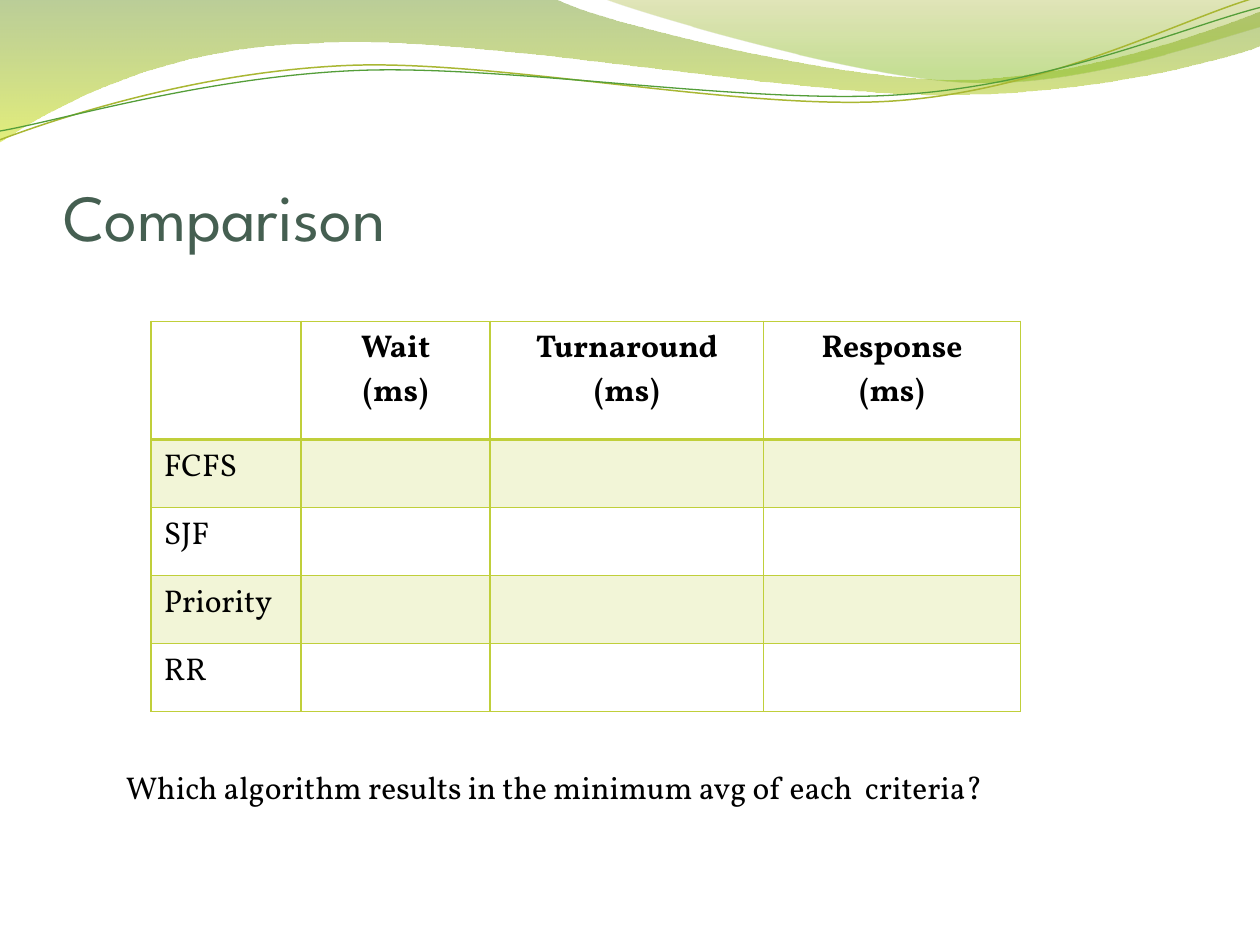
from dataclasses import dataclass
from math import cos, radians, sin
from typing import Optional

from lxml.etree import SubElement
from pptx import Presentation
from pptx.dml.color import RGBColor
from pptx.enum.text import MSO_ANCHOR, MSO_AUTO_SIZE, PP_ALIGN
from pptx.oxml import parse_xml
from pptx.oxml.ns import nsdecls, qn
from pptx.util import Inches, Pt

COLORS = {
    "moss": "69921C", "lemon": "CCE10F", "olive": "9BAA1A", "leaf": "81BA16",
    "gold line": "A9B733", "green line": "549E39",
    "title": "455F51", "text": "000000", "table": "C0CF3A",
}
TITLE_FONT, BODY_FONT = "League Spartan", "Vollkorn"
TILT = 357.3

Point = tuple[float, float]


@dataclass
class Stop:
    position: float
    color: str
    opacity: int


@dataclass
class Wave:
    """A path of straight pieces (2 numbers) and cubic curves (6 numbers)."""
    start: Point
    pieces: list[tuple[float, ...]]
    stops: tuple[Stop, ...] = ()
    line: str = ""
    weight: float = 0
    pivot: Optional[Point] = None


WAVES = [
    Wave((0, 0), [
        (4.4, -0.01), (4.75, 0.17, 6.63, 0.63, 7.58, 0.63),
        (8.53, 0.63, 9.58, 0.26, 10, 0.09), (10.01, 0.36),
        (9.83, 0.44, 8.69, 0.76, 7.46, 0.75), (6.22, 0.75, 3.81, 0.28, 2.57, 0.34),
        (1.29, 0.36, 0.46, 0.83, -0.01, 1.13), (0, 0),
    ], stops=(Stop(0, "moss", 45), Stop(1, "lemon", 55))),
    Wave((4.79, -0.01), [
        (5.09, 0.11, 6.82, 0.62, 7.68, 0.65),
        (8.55, 0.69, 9.61, 0.32, 10, 0.21), (10, 0), (4.79, -0.01),
    ], stops=(Stop(0, "olive", 30), Stop(0.8, "leaf", 45))),
    Wave((0, 1.11), [
        (0.48, 0.93, 1.57, 0.57, 2.76, 0.52), (3.95, 0.47, 5.92, 0.89, 7.12, 0.8),
        (8.33, 0.71, 9.38, 0.15, 9.97, -0.02),
    ], line="gold line", weight=0.85, pivot=(4.99, 0.58)),
    Wave((0, 1.04), [
        (0.47, 0.96, 1.63, 0.61, 2.83, 0.56), (4.02, 0.51, 5.97, 0.84, 7.17, 0.75),
        (8.36, 0.67, 9.41, 0.21, 10, 0.06),
    ], line="green line", weight=0.75, pivot=(5, 0.59)),
]

COLUMN_WIDTHS = [1.19, 1.5, 2.17, 2.04]
ROW_HEIGHTS = [0.94] + [0.54] * 4
ROWS = [["", "Wait\n(ms)", "Turnaround\n(ms)", "Response\n(ms)"]] + [
    [name, "", "", ""] for name in ("FCFS", "SJF", "Priority", "RR")]


def rgb(name: str) -> RGBColor:
    return RGBColor.from_string(COLORS[name])


def set_opacity(color_element, percent: int) -> None:
    SubElement(color_element, qn("a:alpha")).set("val", str(percent * 1000))


def format_text(frame, color: str, **formats) -> None:
    for para in frame.paragraphs:
        for span in para.runs:
            span.font.color.rgb = rgb(color)
            for name, value in formats.items():
                setattr(span.font, name, value)


def turn(point: Point, pivot: Point, degrees: float) -> Point:
    angle = radians(degrees)
    x, y = point[0] - pivot[0], point[1] - pivot[1]
    return (pivot[0] + x * cos(angle) - y * sin(angle),
            pivot[1] + x * sin(angle) + y * cos(angle))


def bend(shape, wave: Wave) -> None:
    """Join each three line segments that belong to a curve into one."""
    segments = iter(list(shape._element.iter(qn("a:lnTo"))))
    for piece in wave.pieces:
        first = next(segments)
        if len(piece) == 6:
            first.tag = qn("a:cubicBezTo")
            for segment in (next(segments), next(segments)):
                first.append(segment[0])
                segment.getparent().remove(segment)


def draw_wave(page, wave: Wave) -> None:
    points = [wave.start] + [piece[i:i + 2] for piece in wave.pieces
                             for i in range(0, len(piece), 2)]
    if wave.pivot:
        points = [turn(point, wave.pivot, -TILT) for point in points]
    places = [(Inches(x), Inches(y)) for x, y in points]
    builder = page.shapes.build_freeform(*places[0])
    builder.add_line_segments(places[1:], close=bool(wave.stops))
    shape = builder.convert_to_shape()
    bend(shape, wave)
    shape.shadow.inherit = False
    if wave.pivot:
        shape.rotation = TILT
    if wave.line:
        shape.fill.background()
        shape.line.color.rgb = rgb(wave.line)
        shape.line.width = Pt(wave.weight)
        return
    shape.line.fill.background()
    shape.fill.gradient()
    shape.fill.gradient_angle = 270
    for target, stop in zip(shape.fill.gradient_stops, wave.stops):
        target.position = stop.position
        target.color.rgb = rgb(stop.color)
    colors = shape._element.spPr.iter(qn("a:srgbClr"))
    for color, stop in zip(list(colors), wave.stops):
        set_opacity(color, stop.opacity)


def draw_borders(cell, weights: dict[str, float]) -> None:
    properties = cell._tc.get_or_add_tcPr()
    for index, (side, weight) in enumerate(weights.items()):
        properties.insert(index, parse_xml(
            f'<a:ln{side} {nsdecls("a")} w="{Pt(weight)}"><a:solidFill>'
            f'<a:srgbClr val="{COLORS["table"]}"/></a:solidFill></a:ln{side}>'))


def draw_table(page) -> None:
    table = page.shapes.add_table(
        len(ROWS), len(COLUMN_WIDTHS), Inches(1.2), Inches(2.55),
        Inches(sum(COLUMN_WIDTHS)), Inches(sum(ROW_HEIGHTS))).table
    table.first_row = table.horz_banding = False
    for column, width in zip(table.columns, COLUMN_WIDTHS):
        column.width = Inches(width)
    for number, (row, height) in enumerate(zip(table.rows, ROW_HEIGHTS)):
        row.height = Inches(height)
        header = number == 0
        for cell, words in zip(row.cells, ROWS[number]):
            if words:
                cell.text = words
            format_text(cell.text_frame, "text", name=BODY_FONT, size=Pt(18), bold=header)
            if header:
                for para in cell.text_frame.paragraphs:
                    para.alignment = PP_ALIGN.CENTER
            if number % 2:
                cell.fill.solid()
                cell.fill.fore_color.rgb = rgb("table")
                set_opacity(next(cell._tc.tcPr.iter(qn("a:srgbClr"))), 20)
            else:
                cell.fill.background()
            draw_borders(cell, {"L": 1, "R": 1, "T": 2 if number == 1 else 1,
                                "B": 2 if header else 1})


def place_title(page) -> None:
    title = page.shapes.title
    page.shapes._spTree.append(title._element)  # in front of the waves
    title.left, title.top, title.width, title.height = map(Inches, (0.5, 0.77, 9, 1.25))
    frame = title.text_frame
    frame.text = "Comparison"
    frame.paragraphs[0].alignment = PP_ALIGN.LEFT
    formats = {"auto_size": MSO_AUTO_SIZE.NONE, "vertical_anchor": MSO_ANCHOR.BOTTOM,
               "margin_left": 0, "margin_top": Inches(0.05),
               "margin_right": 0, "margin_bottom": 0}
    for name, value in formats.items():
        setattr(frame, name, value)
    format_text(frame, "title", name=TITLE_FONT, size=Pt(37.5))


def main() -> None:
    deck = Presentation()
    deck.slide_width, deck.slide_height = Inches(10), Inches(7.5)
    page = deck.slides.add_slide(deck.slide_layouts[5])

    # Wavy band along the top
    for wave in WAVES:
        draw_wave(page, wave)

    place_title(page)
    draw_table(page)

    # Question under the table
    box = page.shapes.add_textbox(Inches(0.9), Inches(6.05), Inches(7.4), Inches(0.4))
    box.text_frame.word_wrap = True
    box.text_frame.auto_size = MSO_AUTO_SIZE.SHAPE_TO_FIT_TEXT
    box.text_frame.text = "Which algorithm results in the minimum avg of each  criteria?"
    format_text(box.text_frame, "text", name=BODY_FONT, size=Pt(18))

    deck.save("out.pptx")


if __name__ == "__main__":
    main()
